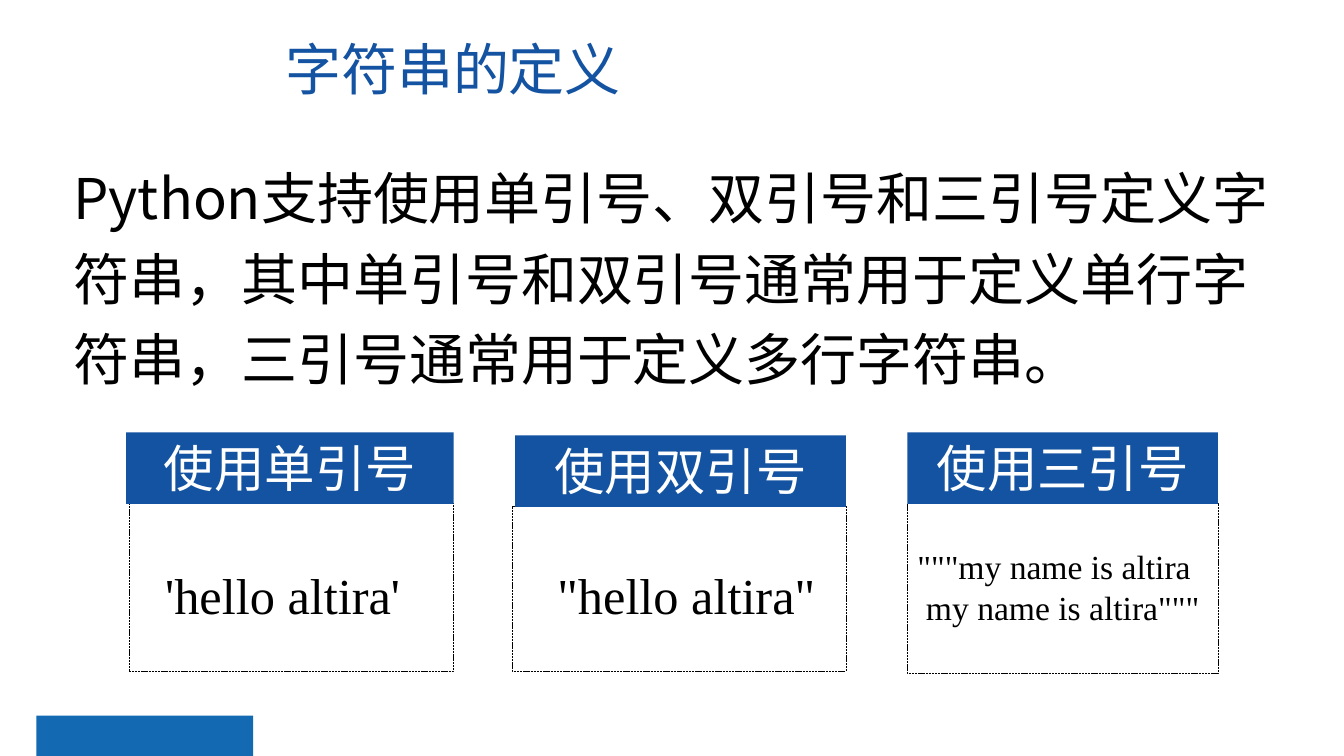
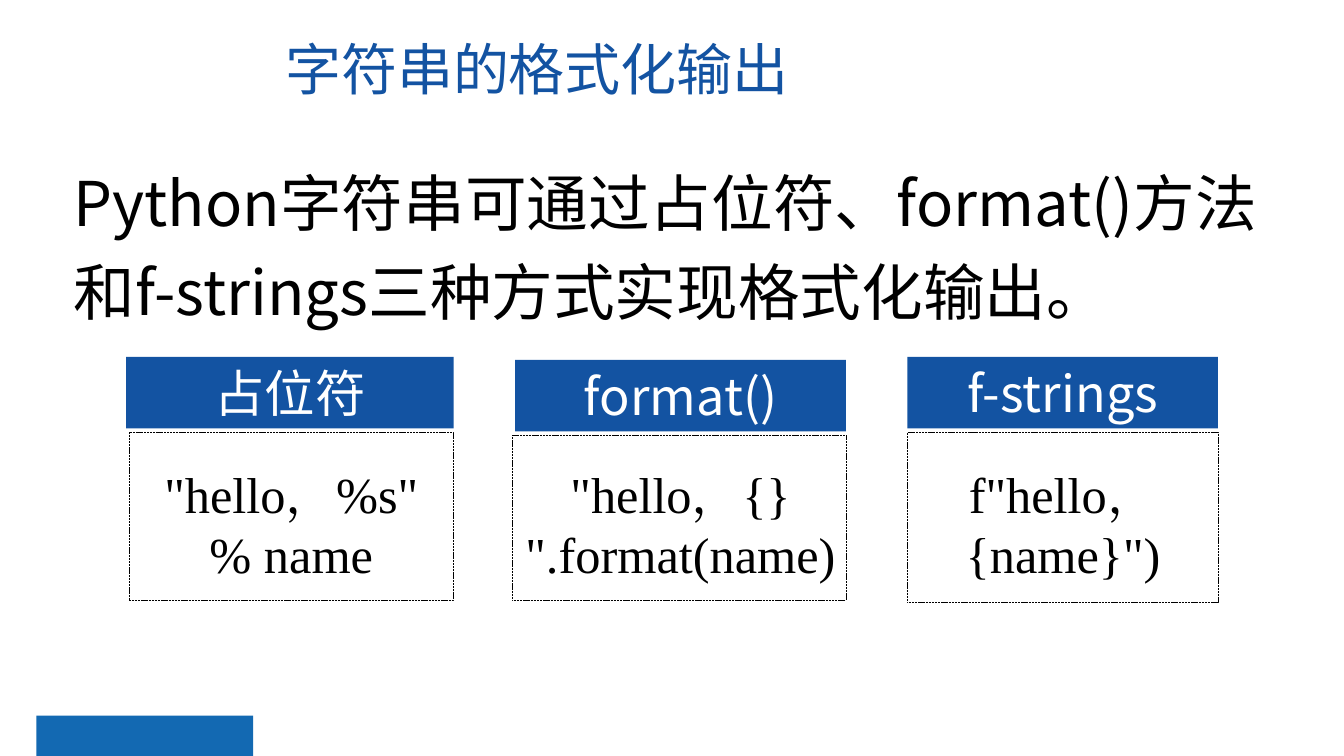
import pptx
import pptx.util
import pptx.dml.color
import pptx.enum.dml
import pptx.enum.shapes
import pptx.enum.text
import pptx.oxml
import pptx.oxml.ns

PX = 9144
SANS = "Noto Sans CJK SC"
SERIF = "Times New Roman"
TITLE_BLUE = "1353A2"
FOOTER_BLUE = "1369B2"
BLACK = "000000"
WHITE = "FFFFFF"

LEFT = pptx.enum.text.PP_ALIGN.LEFT
CENTER = pptx.enum.text.PP_ALIGN.CENTER

HEADINGS = [(125, 325), (511, 328), (900, 308)]
FRAMES = [(128, 322, 167), (508, 331, 164), (900, 308, 169)]
DROPS = [0, 3, 0]
HEADING_HEIGHT = 71


def color(value):
    return pptx.dml.color.RGBColor.from_string(value)


def place(left, top, width, height):
    return [pptx.util.Emu(length * PX) for length in (left, top, width, height)]


def write(box, lines, size, font, ink, spacing=None):
    frame = box.text_frame
    frame.word_wrap = True
    frame.vertical_anchor = pptx.enum.text.MSO_ANCHOR.TOP
    for index, (text, align) in enumerate(lines):
        para = frame.add_paragraph() if index else frame.paragraphs[0]
        para.alignment = align
        if spacing:
            para.line_spacing = spacing
        span = para.add_run()
        span.text = text
        span.font.size = pptx.util.Pt(size)
        span.font.name = font
        span.font.color.rgb = color(ink)
        east_asian = pptx.oxml.parse_xml(
            f'<a:ea {pptx.oxml.ns.nsdecls("a")} typeface="{font}"/>'
        )
        span.font._element.append(east_asian)


def add_text(page, area, lines, size, font, ink, spacing=None):
    box = page.shapes.add_textbox(*place(*area))
    write(box, lines, size, font, ink, spacing)


def add_rectangle(page, area, fill=None):
    box = page.shapes.add_shape(
        pptx.enum.shapes.MSO_SHAPE.RECTANGLE, *place(*area)
    )
    box.shadow.inherit = False
    if fill:
        box.fill.solid()
        box.fill.fore_color.rgb = color(fill)
        box.line.fill.background()
    else:
        box.fill.background()
        box.line.color.rgb = color(BLACK)
        box.line.width = pptx.util.Pt(0.5)
        box.line.dash_style = pptx.enum.dml.MSO_LINE.SQUARE_DOT
    return box


def add_page(deck, title, body, body_height, body_size):
    page = deck.slides.add_slide(deck.slide_layouts[6])
    add_rectangle(page, (36, 710, 215, 33 + 7), FOOTER_BLUE)
    add_text(page, (273, 29, 588, 77), [(title, LEFT)], 40, SANS, TITLE_BLUE)
    add_text(page, (63, 144, 1229, body_height), [(body, LEFT)],
             body_size, SANS, BLACK, 1.2)
    return page


def add_cards(page, top, frame_offset, cards):
    columns = zip(cards, HEADINGS, FRAMES, DROPS)
    for (heading, area, lines, size), (left, width), frame, drop in columns:
        frame_left, frame_width, frame_height = frame
        add_rectangle(page, (frame_left, top + frame_offset + drop,
                             frame_width, frame_height))
        band = add_rectangle(
            page, (left, top + drop, width, HEADING_HEIGHT), TITLE_BLUE
        )
        write(band, [(heading, CENTER)], 36, SANS, WHITE)
        add_text(page, area, lines, size, SERIF, BLACK)


def main():
    deck = pptx.Presentation()
    deck.slide_width = pptx.util.Emu(1333 * PX)
    deck.slide_height = pptx.util.Emu(750 * PX)

    page = add_page(
        deck, "字符串的定义",
        "Python支持使用单引号、双引号和三引号定义字符串，其中单引号和双引号"
        "通常用于定义单行字符串，三引号通常用于定义多行字符串。",
        252, 40,
    )
    add_cards(page, 429, 70, [
        ("使用单引号", (154, 555, 271, 71), [("'hello altira'", LEFT)], 36),
        ("使用双引号", (543, 555, 318, 71), [('"hello altira"', LEFT)], 36),
        ("使用三引号", (900, 537, 308, 91),
         [('"""my name is altira', LEFT), ('my name is altira"""', CENTER)], 24),
    ])

    page = add_page(
        deck, "字符串的格式化输出",
        "Python字符串可通过占位符、format()方法和f-strings三种方式实现格式化输出。",
        188, 44,
    )
    add_cards(page, 354, 75, [
        ("占位符", (141, 454, 296, 131), [('"hello，%s" % name', CENTER)], 36),
        ("format()", (511, 454, 328, 131),
         [('"hello，{} ".format(name)', CENTER)], 36),
        ("f-strings", (943, 454, 223, 131), [('f"hello，{name}")', CENTER)], 36),
    ])

    deck.save("out.pptx")


if __name__ == "__main__":
    main()
